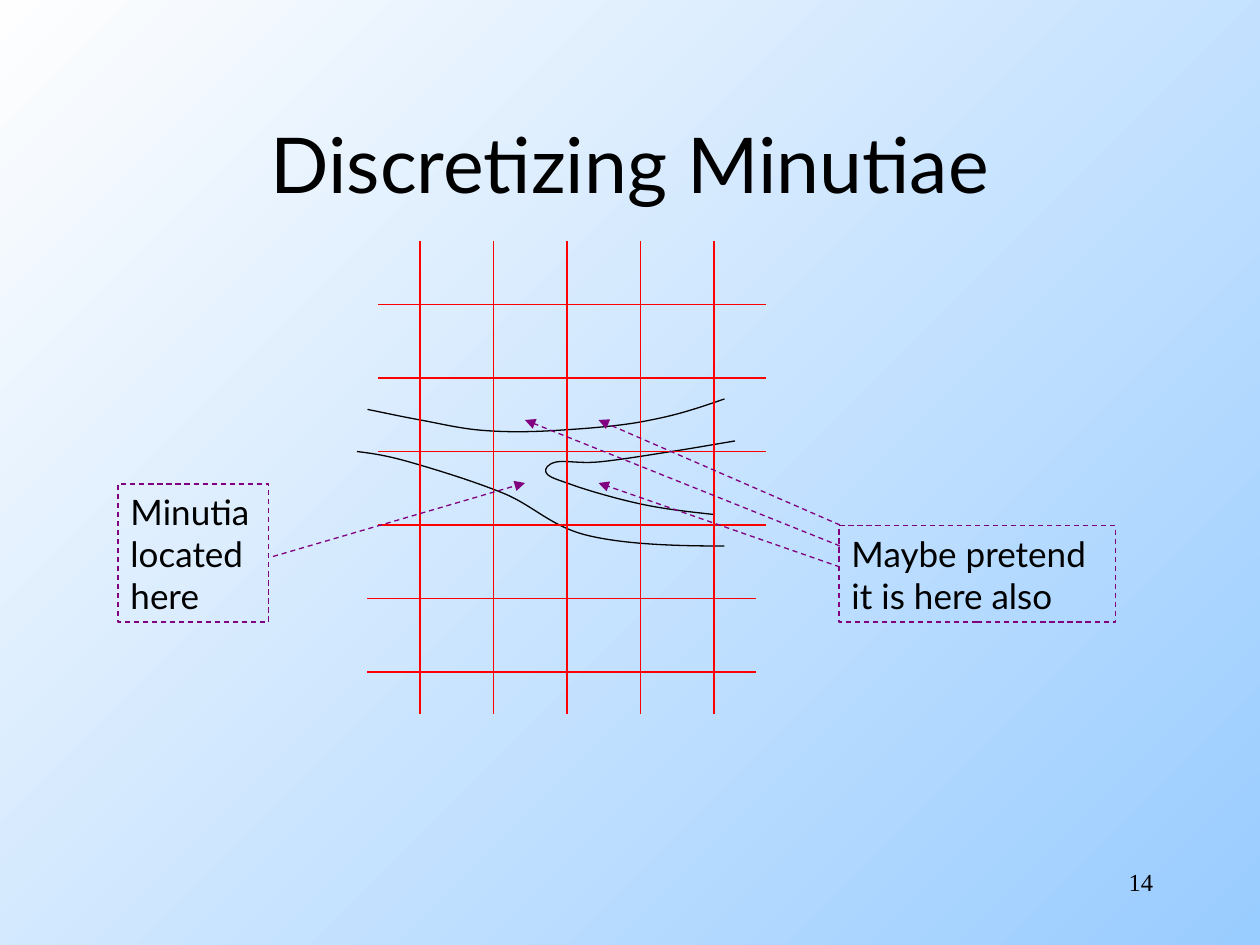
from dataclasses import dataclass

from lxml.etree import SubElement
from pptx import Presentation
from pptx.dml.color import RGBColor
from pptx.enum.dml import MSO_LINE_DASH_STYLE as Dash
from pptx.enum.shapes import MSO_CONNECTOR as Connector
from pptx.enum.shapes import MSO_SHAPE as Shape
from pptx.enum.text import MSO_ANCHOR as Anchor
from pptx.enum.text import PP_ALIGN as Align
from pptx.oxml.ns import qn
from pptx.util import Pt

COLOURS = {
    "text": "000000",
    "ridge": "000000",
    "grid": "FF0000",
    "callout": "800080",
    "sky": "99CCFF",
    "white": "FEFEFE",
}
LINE_WIDTH = 0.75
Point = tuple[float, float]


@dataclass
class Label:
    lines: list[str]
    left: float
    top: float
    width: float
    height: float
    size: float = 20
    font: str = "Lato"
    align: Align = Align.LEFT
    anchor: Anchor = Anchor.TOP


@dataclass
class Callout:
    label: Label
    arrows: list[tuple[Point, Point]]


def colour(name: str) -> RGBColor:
    return RGBColor.from_string(COLOURS[name])


def style_line(line, name: str, dashed: bool = False) -> None:
    line.width = Pt(LINE_WIDTH)
    line.color.rgb = colour(name)
    if dashed:
        line.dash_style = Dash.DASH


def write_text(box, label: Label) -> None:
    frame = box.text_frame
    frame_format = {
        "word_wrap": True, "vertical_anchor": label.anchor,
        "margin_left": Pt(7.2), "margin_right": Pt(7.2),
        "margin_top": Pt(3.6), "margin_bottom": Pt(3.6),
    }
    for key, value in frame_format.items():
        setattr(frame, key, value)
    for index, line in enumerate(label.lines):
        para = frame.add_paragraph() if index else frame.paragraphs[0]
        para.alignment = label.align
        span = para.add_run()
        span.text = line
        for key, value in {"name": label.font, "size": Pt(label.size)}.items():
            setattr(span.font, key, value)
        span.font.color.rgb = colour("text")


def bounds(label: Label) -> list[Pt]:
    return [Pt(v) for v in (label.left, label.top, label.width, label.height)]


def add_label(page, label: Label) -> None:
    write_text(page.shapes.add_textbox(*bounds(label)), label)


def add_line(page, start: Point, end: Point, name: str, arrow: bool = False) -> None:
    line = page.shapes.add_connector(
        Connector.STRAIGHT, *[Pt(v) for v in (*start, *end)])
    style_line(line.line, name, dashed=arrow)
    if arrow:
        SubElement(line.line._get_or_add_ln(), qn("a:tailEnd"), type="triangle")
    SubElement(line._element.spPr, qn("a:effectLst"))


def add_curve(page, points: list[Point]) -> None:
    """Draw a start point followed by triples of Bézier points."""
    start, *rest = [(Pt(x), Pt(y)) for x, y in points]
    builder = page.shapes.build_freeform(*start)
    builder.add_line_segments(rest, close=False)
    curve = builder.convert_to_shape()
    curve.shadow.inherit = False
    curve.fill.background()
    style_line(curve.line, "ridge")
    # Gather each three straight steps into one cubic step
    outline = next(curve._element.iter(qn("a:path")))
    steps = outline.findall(qn("a:lnTo"))
    for first in range(0, len(steps), 3):
        cubic = SubElement(outline, qn("a:cubicBezTo"))
        for step in steps[first:first + 3]:
            cubic.append(step[0])
            outline.remove(step)


def add_callout(page, callout: Callout) -> None:
    box = page.shapes.add_shape(Shape.RECTANGLE, *bounds(callout.label))
    box.shadow.inherit = False
    box.fill.background()
    style_line(box.line, "callout", dashed=True)
    write_text(box, callout.label)
    for start, end in callout.arrows:
        add_line(page, start, end, "callout", arrow=True)


TITLE = Label(["Discretizing Minutiae"], 54, 48, 612, 90, size=44,
              align=Align.CENTER, anchor=Anchor.MIDDLE)
PAGE_NUMBER = Label(["14"], 516, 492, 150, 36, size=14,
                    font="Times New Roman", align=Align.RIGHT)
RIDGES = [
    [(204, 258), (212, 259), (220, 260), (234, 264),
     (248, 268), (271, 275), (288, 282),
     (305, 289), (315, 301), (336, 306),
     (357, 311), (385, 312), (414, 312)],
    [(210, 234), (220, 236), (229, 238), (240, 240),
     (251, 242), (263, 245), (276, 246),
     (289, 247), (302, 247), (318, 246),
     (334, 245), (356, 243.5), (372, 240),
     (388, 237), (401, 232.5), (414, 228)],
    [(408, 294), (394, 292.5), (380, 291), (366, 288),
     (352, 285), (333, 279.5), (324, 276),
     (315, 273), (313, 272), (312, 270),
     (311, 268), (313, 265), (318, 264),
     (323, 263), (331, 265), (342, 264),
     (353, 263), (371, 260), (384, 258),
     (397, 256), (408, 254), (420, 252)],
]
CALLOUTS = [
    Callout(Label(["Minutia", "located", "here"], 67.5, 276.5, 86, 79),
            [((156, 318), (300, 276))]),
    Callout(Label(["Maybe pretend", "it is here also"], 479.5, 300.5, 158, 55),
            [((480, 324), (342, 276)),
             ((480, 312), (300, 240)),
             ((480, 300), (342, 240))]),
]
PITCH = 42


def main() -> None:
    deck = Presentation()
    deck.slide_width, deck.slide_height = Pt(720), Pt(540)
    page = deck.slides.add_slide(deck.slide_layouts[6])

    # Diagonal background, white at the top left
    fill = page.background.fill
    fill.gradient()
    fill.gradient_angle = 135
    for stop, name, position in zip(fill.gradient_stops, ("sky", "white"), (0, 1)):
        stop.color.rgb = colour(name)
        stop.position = position

    add_label(page, TITLE)

    # Fingerprint ridges
    for ridge in RIDGES:
        add_curve(page, ridge)

    # Grid: five columns, six rows, the last two rows shifted left
    for column in range(5):
        x = 240 + column * PITCH
        add_line(page, (x, 138), (x, 408), "grid")
    for row in range(6):
        x, y = 216 if row < 4 else 210, 174 + row * PITCH
        add_line(page, (x, y), (x + 222, y), "grid")

    for callout in CALLOUTS:
        add_callout(page, callout)

    add_label(page, PAGE_NUMBER)
    deck.save("out.pptx")


if __name__ == "__main__":
    main()
